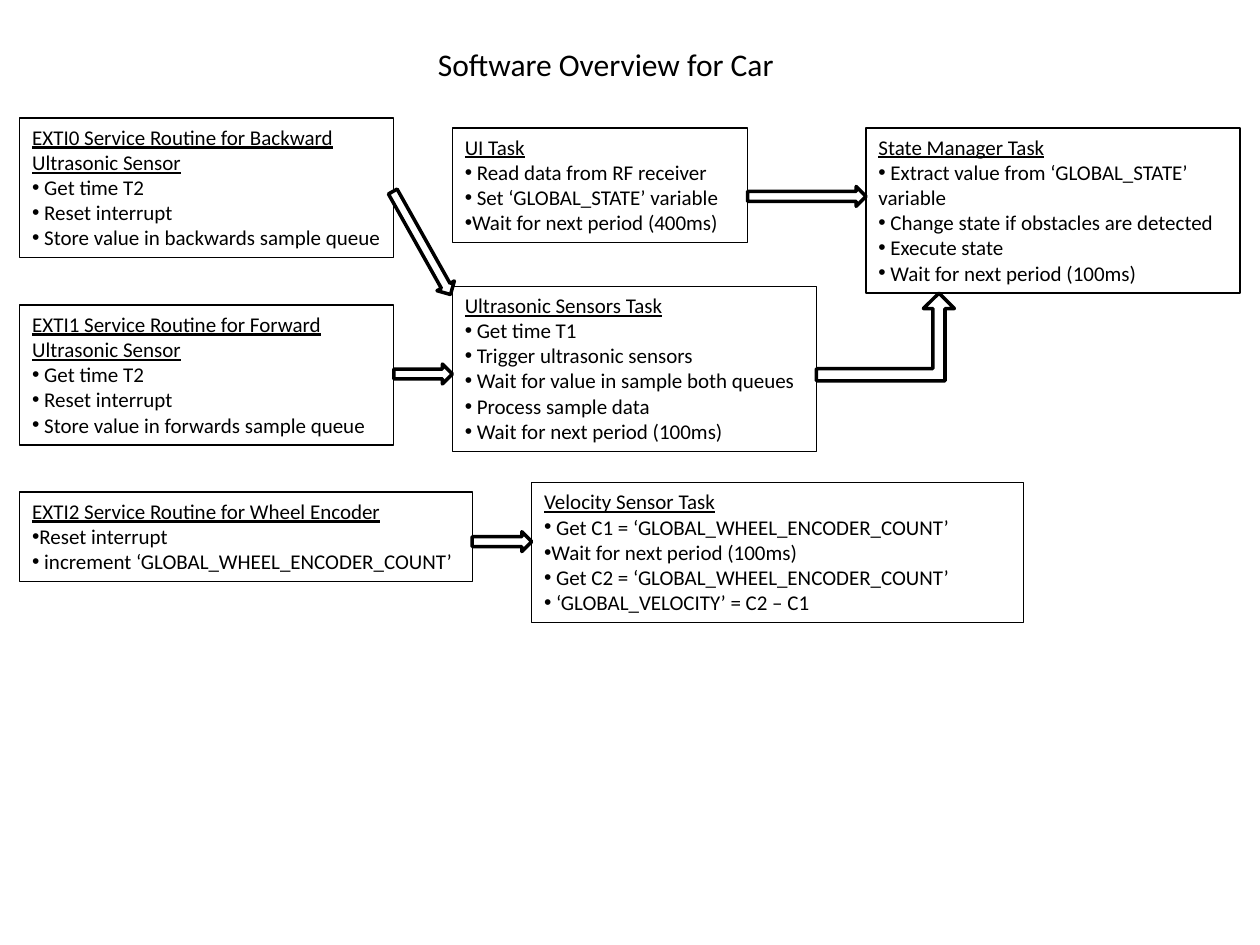
"""Build the slide that gives a software overview for a car."""
from dataclasses import dataclass

from lxml.etree import SubElement
from pptx import Presentation
from pptx.dml.color import RGBColor
from pptx.enum.shapes import MSO_SHAPE
from pptx.enum.text import MSO_ANCHOR, PP_ALIGN
from pptx.oxml.ns import qn
from pptx.util import Cm, Pt


@dataclass(frozen=True)
class Theme:
    font: str = "Calibri"
    ink: RGBColor = RGBColor(0, 0, 0)
    paper: RGBColor = RGBColor(255, 255, 255)
    title: int = 18
    body: int = 12
    box_line: float = 0.75
    arrow_line: float = 2


THEME = Theme()
TITLE = "Software Overview for Car"
LINE_H, PADDING, ARROW_H = 0.51, 0.27, 0.4

# key: (left, top, width, text lines, heading, bullets)
BOXES = {
    "ultrasonic": (9.12, 5.77, 7.34, 6, "Ultrasonic Sensors Task", [
        " Get time T1", " Trigger ultrasonic sensors",
        " Wait for value in sample both queues",
        " Process sample data", " Wait for next period (100ms)"]),
    "backward": (0.4, 2.38, 7.54, 5, "EXTI0 Service Routine for Backward Ultrasonic Sensor", [
        " Get time T2", " Reset interrupt", " Store value in backwards sample queue"]),
    "ui": (9.12, 2.58, 5.95, 4, "UI Task", [
        " Read data from RF receiver", " Set ‘GLOBAL_STATE’ variable",
        "Wait for next period (400ms)"]),
    "state": (17.46, 2.58, 7.54, 6, "State Manager Task", [
        " Extract value from ‘GLOBAL_STATE’ variable",
        " Change state if obstacles are detected",
        " Execute state", " Wait for next period (100ms)"]),
    "velocity": (10.72, 9.73, 9.92, 5, "Velocity Sensor Task", [
        " Get C1 = ‘GLOBAL_WHEEL_ENCODER_COUNT’ ", "Wait for next period (100ms)",
        " Get C2 = ‘GLOBAL_WHEEL_ENCODER_COUNT’", " ‘GLOBAL_VELOCITY’ = C2 – C1"]),
    "forward": (0.4, 6.15, 7.54, 5, "EXTI1 Service Routine for Forward Ultrasonic Sensor", [
        " Get time T2", " Reset interrupt", " Store value in forwards sample queue"]),
    "wheel": (0.4, 9.92, 9.12, 3, "EXTI2 Service Routine for Wheel Encoder", [
        "Reset interrupt", " increment ‘GLOBAL_WHEEL_ENCODER_COUNT’"]),
}
STRAIGHT = [("forward", "ultrasonic", 7.34), ("wheel", "velocity", 10.72), ("ui", "state", 3.76)]
BENT_W, BENT_H, BENT_ADJ = 2.78, 1.77, (0.139, 0.176, 0.176)
DIAGONAL = (7.31, 4.7, 2.38, ARROW_H)
DIAGONAL_ANGLE = 60.7


def right(key):
    return BOXES[key][0] + BOXES[key][2]


def height(lines):
    return lines * LINE_H + PADDING


def add_run(p, text, size, underline=None):
    r = p.add_run()
    r.text = text
    r.font.name, r.font.size, r.font.underline = THEME.font, Pt(size), underline
    r.font.color.rgb = THEME.ink


def add_outlined(s, kind, place, weight):
    sp = s.shapes.add_shape(kind, *map(Cm, place))
    sp.shadow.inherit = False
    sp.line.color.rgb, sp.line.width = THEME.ink, Pt(weight)
    return sp


def add_box(s, left, top, width, lines, heading, bullets):
    sp = add_outlined(s, MSO_SHAPE.RECTANGLE, (left, top, width, height(lines)), THEME.box_line)
    sp.fill.background()
    tf = sp.text_frame
    tf.word_wrap, tf.vertical_anchor = True, MSO_ANCHOR.TOP
    p = tf.paragraphs[0]
    p.alignment = PP_ALIGN.LEFT
    add_run(p, heading, THEME.body, True)
    for text in bullets:
        p = tf.add_paragraph()
        p.alignment = PP_ALIGN.LEFT
        pPr = p._p.get_or_add_pPr()
        SubElement(pPr, qn("a:buFont")).set("typeface", "Arial")
        SubElement(pPr, qn("a:buChar")).set("char", "•")
        add_run(p, text, THEME.body)


def add_arrow(s, kind, place):
    sp = add_outlined(s, kind, place, THEME.arrow_line)
    sp.fill.solid()
    sp.fill.fore_color.rgb = THEME.paper
    return sp


def main():
    prs = Presentation()
    prs.slide_width, prs.slide_height = Cm(25.4), Cm(19.05)
    s = prs.slides.add_slide(prs.slide_layouts[6])
    for box in BOXES.values():
        add_box(s, *box)

    tf = s.shapes.add_textbox(Cm(8.53), Cm(0.79), Cm(7.37), Cm(1.02)).text_frame
    tf.word_wrap = False
    tf.paragraphs[0].alignment = PP_ALIGN.CENTER
    add_run(tf.paragraphs[0], TITLE, THEME.title)

    for source, target, top in STRAIGHT:
        left = right(source)
        add_arrow(s, MSO_SHAPE.RIGHT_ARROW, (left, top, BOXES[target][0] - left, ARROW_H))

    state_bottom = BOXES["state"][1] + height(BOXES["state"][3])
    bent = add_arrow(s, MSO_SHAPE.BENT_UP_ARROW,
                     (right("ultrasonic"), state_bottom, BENT_W, BENT_H))
    for i, value in enumerate(BENT_ADJ):
        bent.adjustments[i] = value
    add_arrow(s, MSO_SHAPE.RIGHT_ARROW, DIAGONAL).rotation = DIAGONAL_ANGLE
    prs.save("out.pptx")


main()
